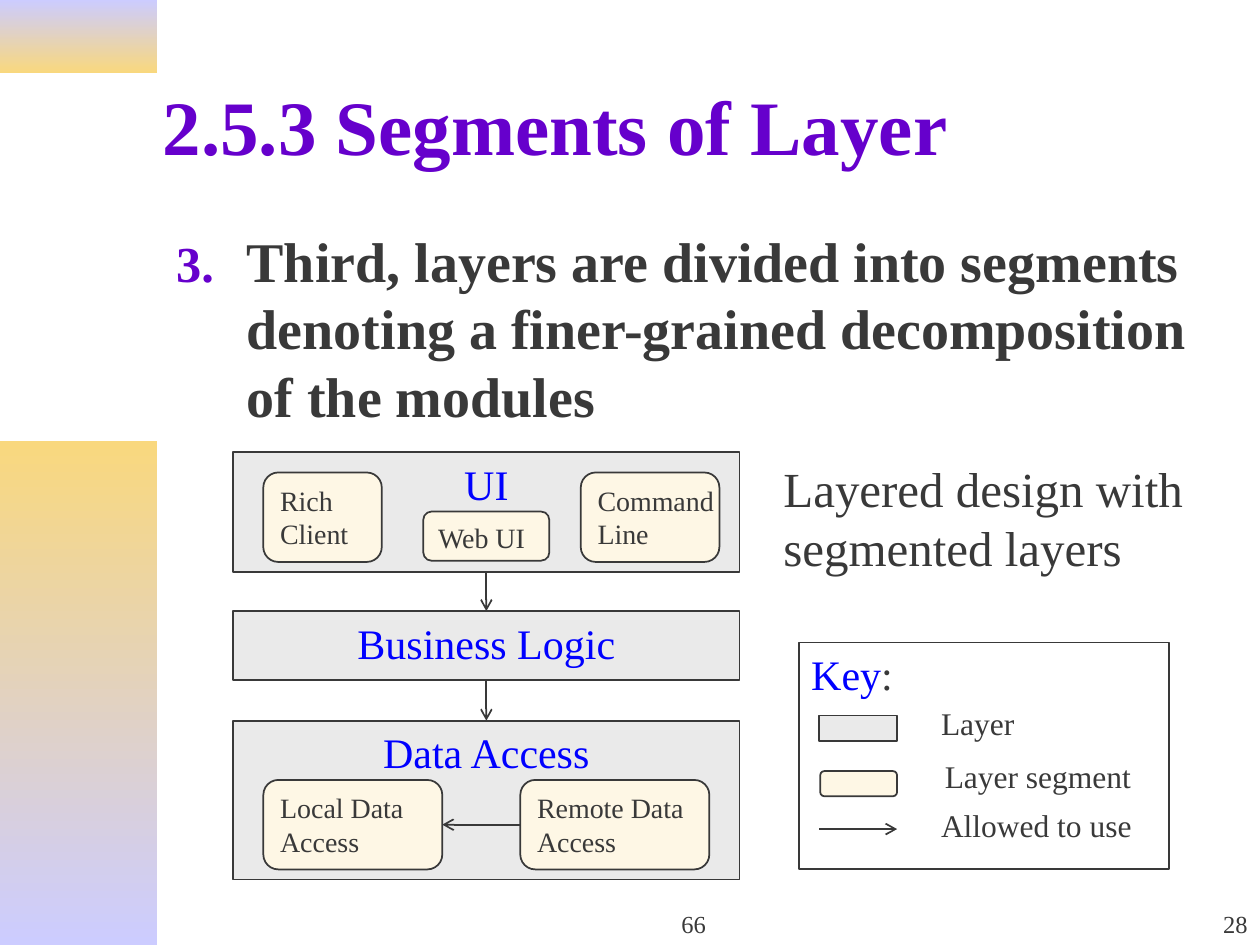
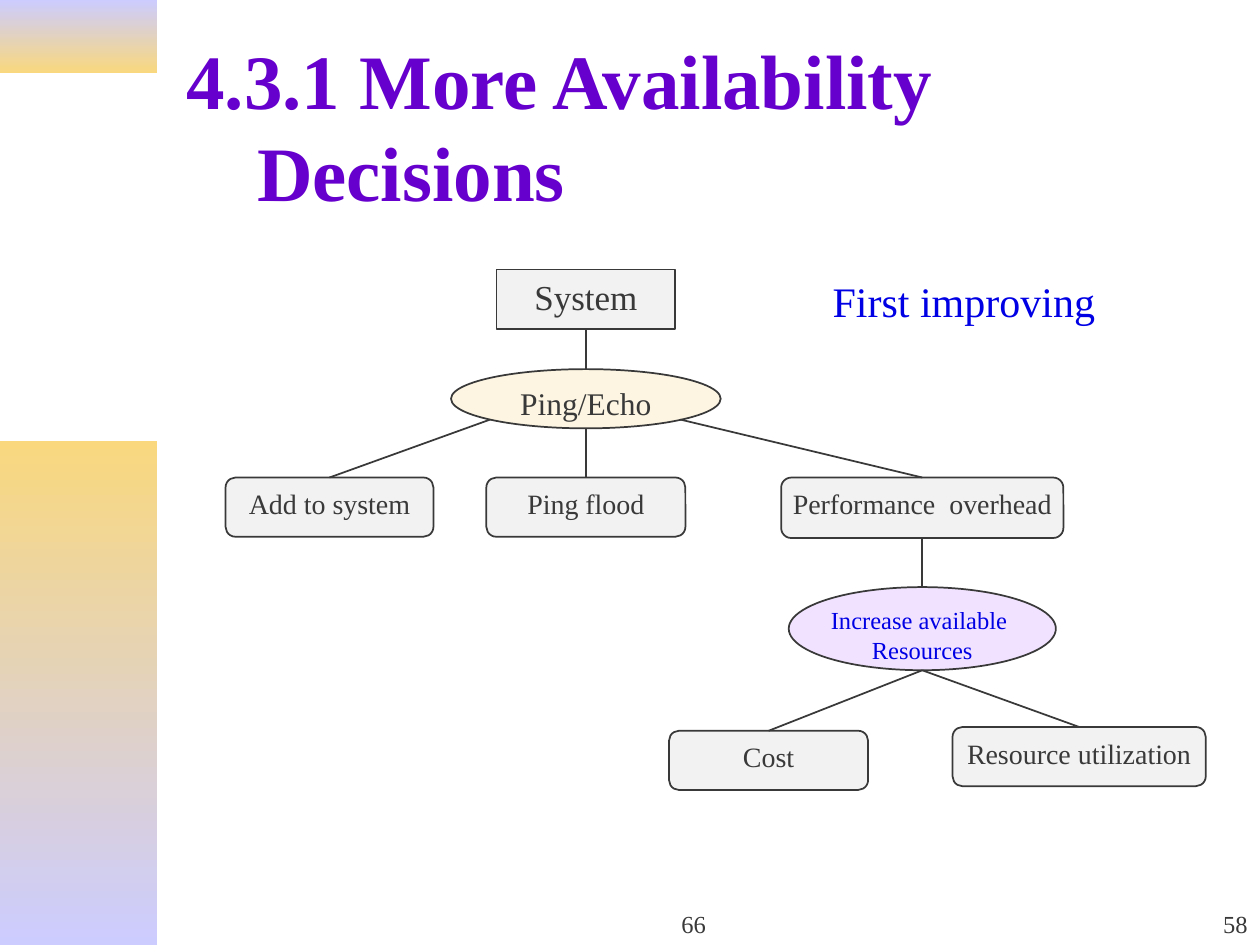
from dataclasses import dataclass

from lxml.etree import SubElement
from pptx import Presentation
from pptx.dml.color import RGBColor
from pptx.enum.shapes import MSO_CONNECTOR, MSO_SHAPE
from pptx.enum.text import MSO_ANCHOR, MSO_AUTO_SIZE, PP_ALIGN
from pptx.oxml.ns import qn
from pptx.shapes.autoshape import Shape
from pptx.util import Inches, Pt


@dataclass(frozen=True)
class Theme:
    font: str = "Times New Roman"
    ink: str = "393939"
    title: str = "6600CC"
    blue: str = "0000FF"
    deep_blue: str = "0000E5"
    layer: str = "EAEAEA"
    segment: str = "FEF7E5"
    node: str = "F2F2F2"
    decision: str = "FDF5E2"
    remedy: str = "F1E3FF"
    white: str = "FFFFFF"
    band_lilac: str = "CCCCFF"
    band_gold: str = "F9D87E"
    title_size: int = 44
    body_size: int = 32
    caption_size: int = 28
    heading_size: int = 24
    root_size: int = 20
    key_size: int = 18
    label_size: int = 16
    footer_size: int = 14


theme = Theme()
RECTANGLE, ROUNDED, OVAL = MSO_SHAPE.RECTANGLE, MSO_SHAPE.ROUNDED_RECTANGLE, MSO_SHAPE.OVAL


def add_box(slide, place, text="", size=theme.label_size, color=theme.ink,
            kind=None, fill=None, align=PP_ALIGN.LEFT, wrap=False, bold=False):
    """Add a filled, outlined shape of the given kind, or a plain text box without one."""
    place = [Inches(value) for value in place]
    if kind is None:
        shape = slide.shapes.add_textbox(*place)
    else:
        shape = slide.shapes.add_shape(kind, *place)
        shape.shadow.inherit = False
        shape.fill.solid()
        shape.fill.fore_color.rgb = RGBColor.from_string(fill)
        shape.line.color.rgb = RGBColor.from_string(theme.ink)
        shape.line.width = Pt(1)
    frame = shape.text_frame
    frame.word_wrap = wrap
    frame.vertical_anchor = MSO_ANCHOR.TOP
    if text:
        frame.text = text
    for paragraph in frame.paragraphs:
        paragraph.alignment = align
        for run in paragraph.runs:
            run.font.name = theme.font
            run.font.size = Pt(size)
            run.font.bold = bold
            run.font.color.rgb = RGBColor.from_string(color)
    return shape


def add_line(slide, start, end, arrow=False):
    """Draw a line; each end is either (x, y) in inches or (shape, connection site)."""
    line = slide.shapes.add_connector(MSO_CONNECTOR.STRAIGHT, 0, 0, 0, 0)
    if isinstance(start[0], Shape):
        line.begin_connect(*start)
    else:
        line.begin_x, line.begin_y = Inches(start[0]), Inches(start[1])
    if isinstance(end[0], Shape):
        line.end_connect(*end)
    else:
        line.end_x, line.end_y = Inches(end[0]), Inches(end[1])
    line.line.color.rgb = RGBColor.from_string(theme.ink)
    line.line.width = Pt(1)
    if arrow:
        SubElement(line.element.spPr.find(qn("a:ln")), qn("a:tailEnd"), type="arrow")
    SubElement(line.element.spPr, qn("a:effectLst"))


presentation = Presentation()
presentation.slide_width, presentation.slide_height = Inches(10), Inches(7.5)
title_only = presentation.slide_layouts[5]

# Titles and footers
slides = []
for title_text, left, width, hanging, number in (
    ("2.5.3 Segments of Layer", 1.19, 8.77, 0, "28"),
    ("4.3.1 More Availability Decisions", 1.38, 8.59, 0.56, "58"),
):
    slide = presentation.slides.add_slide(title_only)
    slides.append(slide)
    title = slide.shapes.title
    title.left, title.top = Inches(left), Inches(0.33)
    title.width, title.height = Inches(width), Inches(1.32)
    frame = title.text_frame
    frame.text = title_text
    frame.word_wrap = True
    frame.auto_size = MSO_AUTO_SIZE.NONE
    frame.vertical_anchor = MSO_ANCHOR.MIDDLE
    paragraph = frame.paragraphs[0]
    paragraph.alignment = PP_ALIGN.LEFT
    properties = paragraph._p.get_or_add_pPr()
    properties.set("marL", str(Inches(hanging)))
    properties.set("indent", str(-Inches(hanging)))
    font = paragraph.runs[0].font
    font.name, font.size, font.bold = theme.font, Pt(theme.title_size), True
    font.color.rgb = RGBColor.from_string(theme.title)

    for place, text, align in (
        ((3.92, 7, 3.17, 0.5), "66", PP_ALIGN.CENTER),
        ((7.92, 7, 2.08, 0.5), number, PP_ALIGN.RIGHT),
    ):
        footer = add_box(slide, place, text, theme.footer_size, align=align, wrap=True)
        footer.text_frame.vertical_anchor = MSO_ANCHOR.BOTTOM

segments_slide, decisions_slide = slides

# Side bands, moved to the master so that both slides share them
master_tree = presentation.slide_master.shapes.element
for top, height, colors in (
    (0, 0.58, (theme.band_lilac, theme.band_gold)),
    (3.5, 4, (theme.band_gold, theme.band_lilac)),
):
    band = add_box(segments_slide, (0, top, 1.25, height), kind=RECTANGLE, fill=theme.white)
    band.line.fill.background()
    band.fill.gradient()
    band.fill.gradient_angle = 270
    for stop, position, color in zip(band.fill.gradient_stops, (0, 1), colors):
        stop.position = position
        stop.color.rgb = RGBColor.from_string(color)
    master_tree.insert(2, band.element)

# Slide 1: numbered statement
statement = add_box(
    segments_slide, (1.3, 1.75, 8.66, 1.76),
    "Third, layers are divided into segments denoting a finer-grained decomposition of the modules",
    theme.body_size, wrap=True, bold=True)
properties = statement.text_frame.paragraphs[0]._p.get_or_add_pPr()
properties.set("marL", str(Inches(0.56)))
properties.set("indent", str(-Inches(0.56)))
SubElement(SubElement(properties, qn("a:buClr")), qn("a:srgbClr"), val=theme.title)
SubElement(properties, qn("a:buSzPct"), val="90000")
SubElement(properties, qn("a:buAutoNum"), type="arabicPeriod", startAt="3")

# Slide 1: layers and their segments
layers = [
    add_box(segments_slide, (1.85, top, 4.02, height), text, theme.heading_size, theme.blue,
            RECTANGLE, theme.layer, PP_ALIGN.CENTER)
    for text, top, height in (
        ("UI", 3.59, 0.95), ("Business Logic", 4.85, 0.55), ("Data Access", 5.72, 1.26))
]
segments = {
    text: add_box(segments_slide, place, text, kind=ROUNDED, fill=theme.segment)
    for text, place in (
        ("Web UI", (3.36, 4.06, 1, 0.39)),
        ("Rich\nClient", (2.09, 3.75, 0.94, 0.71)),
        ("Command\nLine", (4.61, 3.75, 1.1, 0.71)),
        ("Local Data\nAccess", (2.09, 6.19, 1.42, 0.71)),
        ("Remote Data\nAccess", (4.13, 6.19, 1.5, 0.71)),
    )
}
for upper, lower in zip(layers, layers[1:]):
    add_line(segments_slide, (upper, 2), (lower, 0), arrow=True)
add_line(segments_slide, (segments["Remote Data\nAccess"], 1),
         (segments["Local Data\nAccess"], 3), arrow=True)

# Slide 1: caption and key
add_box(segments_slide, (6.12, 3.59, 3.6, 1.04), "Layered design with\nsegmented layers",
        theme.caption_size)
key = add_box(segments_slide, (6.34, 5.1, 2.94, 1.8), "Key", theme.heading_size, theme.blue,
              RECTANGLE, theme.white)
colon = key.text_frame.paragraphs[0].add_run()
colon.text = ":"
colon.font.name, colon.font.size = theme.font, Pt(theme.heading_size)
colon.font.color.rgb = RGBColor.from_string(theme.ink)
add_box(segments_slide, (6.5, 5.68, 0.62, 0.2), kind=RECTANGLE, fill=theme.layer)
add_box(segments_slide, (6.51, 6.12, 0.61, 0.2), kind=ROUNDED, fill=theme.segment)
add_line(segments_slide, (6.5, 6.58), (7.12, 6.58), arrow=True)
for text, left, top in (
    ("Layer", 7.37, 5.54), ("Layer segment", 7.4, 5.96), ("Allowed to use", 7.37, 6.35),
):
    add_box(segments_slide, (left, top, 1.85, 0.4), text, theme.key_size)

# Slide 2: decision tree
system, ping, add_to_system, flood, overhead, increase, cost, utilization = [
    add_box(decisions_slide, place, text, size, color, kind, fill, PP_ALIGN.CENTER)
    for text, place, kind, fill, size, color in (
        ("System", (3.94, 2.14, 1.42, 0.47), RECTANGLE, theme.node, theme.root_size, theme.ink),
        ("Ping/Echo", (3.58, 2.93, 2.14, 0.47), OVAL, theme.decision, theme.key_size, theme.ink),
        ("Add to system", (1.79, 3.79, 1.65, 0.47), ROUNDED, theme.node, theme.label_size, theme.ink),
        ("Ping flood", (3.86, 3.79, 1.58, 0.47), ROUNDED, theme.node, theme.label_size, theme.ink),
        ("Performance  overhead", (6.2, 3.79, 2.24, 0.48), ROUNDED, theme.node,
         theme.label_size, theme.ink),
        ("Increase available \nResources", (6.26, 4.66, 2.12, 0.66), OVAL, theme.remedy,
         theme.footer_size, theme.deep_blue),
        ("Cost", (5.31, 5.8, 1.58, 0.47), ROUNDED, theme.node, theme.label_size, theme.ink),
        ("Resource utilization", (7.56, 5.77, 2.01, 0.47), ROUNDED, theme.node,
         theme.label_size, theme.ink),
    )
]
for start, end in (
    ((system, 2), (ping, 0)),
    ((3.89, 3.33), (add_to_system, 0)),
    ((4.65, 3.4), (flood, 0)),
    ((5.4, 3.33), (overhead, 0)),
    ((overhead, 2), (increase, 0)),
    ((7.32, 5.32), (cost, 0)),
    ((7.32, 5.32), (utilization, 0)),
):
    add_line(decisions_slide, start, end)
add_box(decisions_slide, (6.51, 2.14, 2.5, 0.5), "First improving", theme.heading_size,
        theme.deep_blue)

presentation.save("out.pptx")
